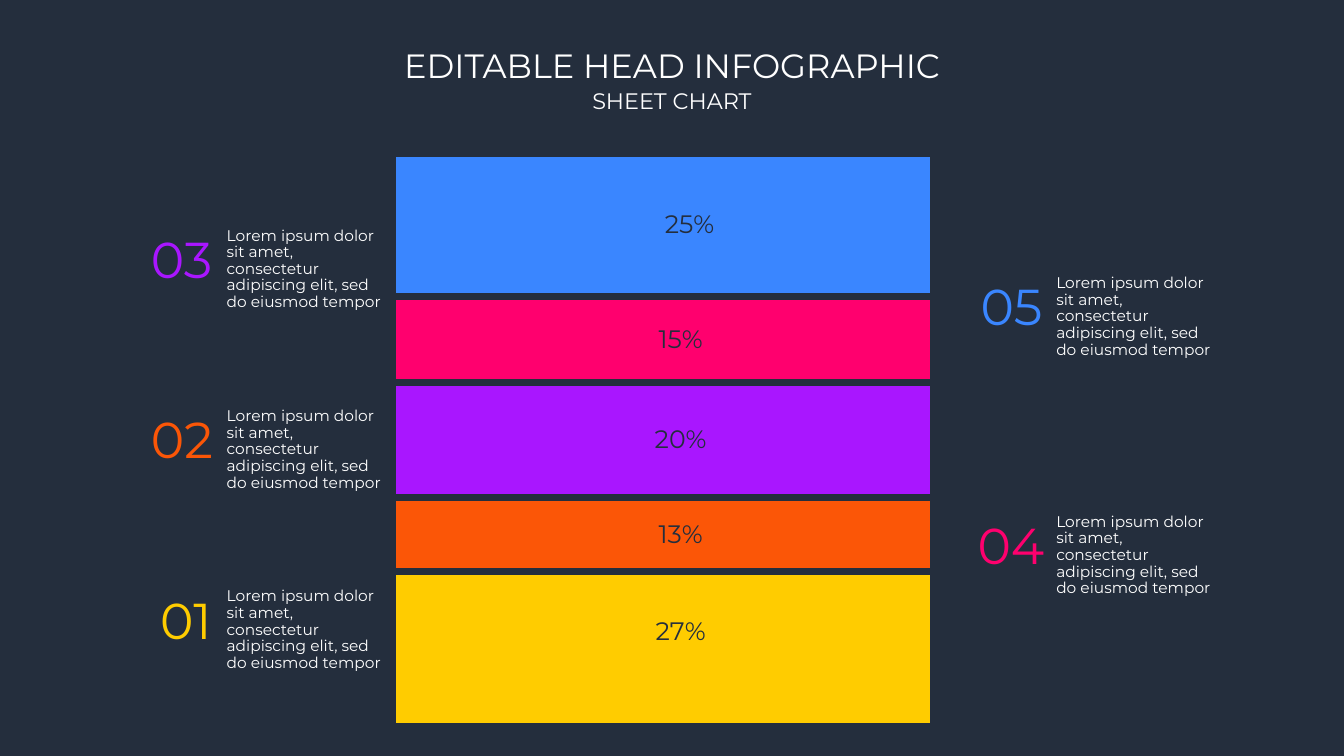
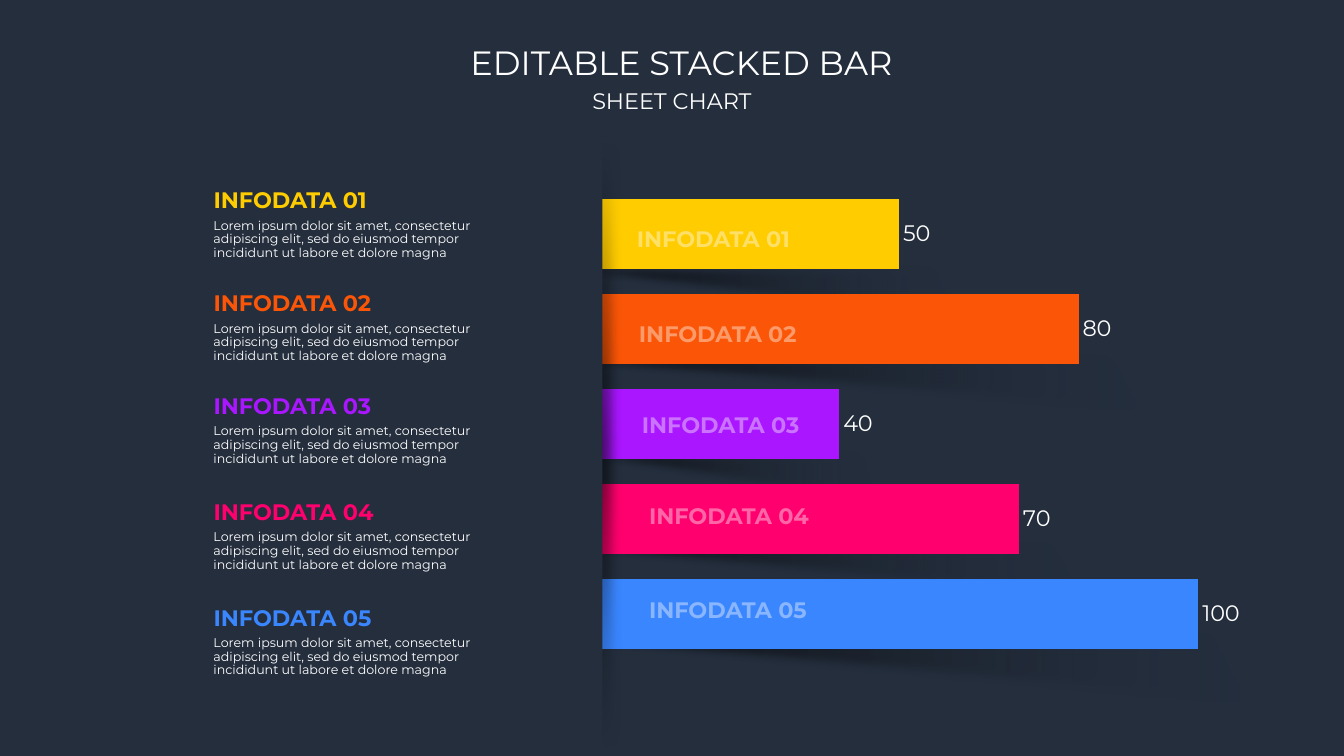
from lxml import etree
from pptx import Presentation
from pptx import util as u
from pptx.chart import data as cd
from pptx.dml import color as dc
from pptx.enum import chart as ch, shapes as sh, text as tx
from pptx.oxml import ns

Pt = u.Pt
DARK, WHITE = "242E3D", "FFFFFF"
HUES = ["FFCC00", "FB5607", "A916FF", "FF006E", "3A86FF"]
LOREM = ("Lorem ipsum dolor sit amet, consectetur "
         "adipiscing elit, sed do eiusmod tempor")


def rgb(code):
    return dc.RGBColor.from_string(code)


def tint(code, part=0.4):
    """Blend a colour towards white."""
    tones = [int(code[i:i + 2], 16) for i in (0, 2, 4)]
    return "".join(f"{round(t + (255 - t) * part):02X}" for t in tones)


def node(root, tag, **attrs):
    item = etree.SubElement(root, ns.qn(tag))
    for key, value in attrs.items():
        item.set(key, str(value))
    return item


def write(frame, words, size=16, hue=WHITE, bold=False, align="LEFT",
          wrap=True, inset=True, lines=None):
    frame.word_wrap = wrap
    if not inset:
        frame.margin_left = frame.margin_right = 0
        frame.margin_top = frame.margin_bottom = 0
    para = frame.paragraphs[0]
    para.alignment = getattr(tx.PP_ALIGN, align)
    para.line_spacing = lines
    run = para.add_run()
    run.text = words
    Deck.style(run.font, size, hue, bold)


class Deck:
    FACE = "Montserrat"

    def __init__(self):
        self.show = Presentation()
        self.show.slide_width, self.show.slide_height = Pt(960), Pt(540)
        self.slide = None

    @classmethod
    def style(cls, font, size, hue=WHITE, bold=False):
        font.name, font.size, font.bold = cls.FACE, Pt(size), bold
        font.color.rgb = rgb(hue)

    def page(self, title, mid, top):
        self.slide = self.show.slides.add_slide(self.show.slide_layouts[6])
        fill = self.slide.background.fill
        fill.solid()
        fill.fore_color.rgb = rgb(DARK)
        self.head = [(title, mid, top, 24), ("SHEET CHART", 480, 58.7, 16)]

    def heads(self):
        for words, mid, top, size in self.head:
            self.text(words, mid - 200, top, 400, size * 1.5,
                      size=size, align="CENTER", wrap=False)

    def text(self, words, left, top, width, height, **form):
        box = self.slide.shapes.add_textbox(
            Pt(left), Pt(top), Pt(width), Pt(height))
        write(box.text_frame, words, **form)

    def body(self, words, left, top, width, height, size):
        self.text(words, left, top, width, height, size=size, lines=0.9)

    # Plain finish: no outline and no shadow
    def bare(self, shape):
        shape.line.fill.background()
        shape.shadow.inherit = False
        return shape.element.spPr.find(ns.qn("a:effectLst"))

    def fade(self, shape, stops, angle):
        shape.fill.gradient()
        shape.fill.gradient_angle = angle
        grad = shape.element.spPr.find(ns.qn("a:gradFill"))
        root = grad.find(ns.qn("a:gsLst"))
        for old in list(root):
            root.remove(old)
        for place, hue, alpha in stops:
            stop = node(root, "a:gs", pos=place * 1000)
            tone = node(stop, "a:srgbClr", val=hue)
            node(tone, "a:alpha", val=alpha * 1000)

    # Soft wedge cast below a bar
    def wedge(self, tip, top, right, far, base):
        form = self.slide.shapes.build_freeform(Pt(right), Pt(top), scale=1.0)
        form.add_line_segments([(Pt(far), Pt(base)), (Pt(tip), Pt(top))])
        shape = form.convert_to_shape()
        self.fade(shape, [(26, "000000", 68), (100, DARK, 0)], 0)
        node(self.bare(shape), "a:softEdge", rad=Pt(6))

    # Wall that the bars come out of, with a shade to its right
    def wall(self):
        group = self.slide.shapes.add_group_shape()
        kind = sh.MSO_SHAPE.RECTANGLE
        back = group.shapes.add_shape(
            kind, Pt(406.8), Pt(103.7), Pt(22.3), Pt(429.1))
        self.fade(back, [(0, WHITE, 0), (50, WHITE, 100), (100, WHITE, 0)], 90)
        shade = node(self.bare(back), "a:outerShdw", blurRad=Pt(8),
                     dist=Pt(7), dir=0, algn="l", rotWithShape=0)
        node(node(shade, "a:srgbClr", val="000000"), "a:alpha", val=55000)
        front = group.shapes.add_shape(
            kind, Pt(406.1), Pt(92.2), Pt(24.2), Pt(445.7))
        front.fill.solid()
        front.fill.fore_color.rgb = rgb(DARK)
        self.bare(front)

    def chart(self, kind, frame, cats, rows, gap, peak, form):
        data = cd.CategoryChartData(number_format=form)
        data.categories = cats
        for i, row in enumerate(rows, 1):
            data.add_series(f"Series {i}", row)
        chart = self.slide.shapes.add_chart(
            kind, *map(Pt, frame), data).chart
        chart.has_legend = chart.has_title = False
        self.style(chart.font, 10)
        axis = chart.value_axis
        axis.minimum_scale, axis.maximum_scale = 0, peak
        axis.has_major_gridlines = False
        axis.visible = chart.category_axis.visible = False
        plot = chart.plots[0]
        plot.gap_width, plot.overlap = gap, 100
        plot.vary_by_categories = False
        for hue, line in zip(HUES, plot.series):
            line.invert_if_negative = False
            self.paint(line, hue)
        return plot

    def paint(self, part, hue):
        part.format.fill.solid()
        part.format.fill.fore_color.rgb = rgb(hue)

    def labels(self, line, size, hue, place, form):
        tags = line.data_labels
        tags.show_value = True
        tags.position = place
        tags.number_format, tags.number_format_is_linked = form, False
        self.style(tags.font, size, hue)

    # Move the label of the first point by a share of the chart
    def nudge(self, line, across, down, size, hue, form):
        tag = line.points[0].data_label
        self.style(tag.font, size, hue)
        tag.position = ch.XL_LABEL_POSITION.CENTER
        root = line.data_labels._element.find(ns.qn("c:dLbl"))
        lay = node(root, "c:layout")
        spot = node(lay, "c:manualLayout")
        node(spot, "c:x", val=across)
        node(spot, "c:y", val=down)
        mask = node(root, "c:numFmt", formatCode=form, sourceLinked=0)
        root.find(ns.qn("c:idx")).addnext(lay)
        lay.addnext(mask)


def stack(deck):
    deck.page("EDITABLE HEAD INFOGRAPHIC", 480, 28.8)

    # Stacked column
    shares = [0.27, 0.13, 0.2, 0.15, 0.25]
    plot = deck.chart(ch.XL_CHART_TYPE.COLUMN_STACKED_100,
                      (153.4, 100.8, 640, 427), ["1"],
                      [[share] for share in shares], 59, 1, "0%")
    shifts = [(0.02, -0.03), (0.02, 0), (0.02, 0), (0.02, 0), (0.03, 0)]
    for line, (across, down) in zip(plot.series, shifts):
        line.format.line.color.rgb = rgb(DARK)
        line.format.line.width = Pt(5)
        deck.labels(line, 18, DARK, ch.XL_LABEL_POSITION.CENTER, "0%")
        deck.nudge(line, across, down, 18, DARK, "0%")

    # Numbered notes on both sides: number left, width, text left, top
    notes = [(107.3, 57.6, 154.8, 416.9), (100.8, 61.9, 154.8, 288),
             (100.8, 61.9, 154.8, 159.1), (691.2, 69.8, 747.4, 363.6),
             (693.4, 61.9, 747.4, 193)]
    for i, (left, width, edge, top) in enumerate(notes):
        deck.body(LOREM, edge, top, 130.3, 63.4, 11)
        deck.text(f"0{i + 1}", left, top, width, 51, size=36, hue=HUES[i])
    deck.heads()


def bars(deck):
    deck.page("EDITABLE STACKED BAR", 486.7, 26.3)

    # Shades below the bars
    for wedge in [(280.8, 450.7, 869, 900.7, 506.2),
                  (295.9, 385.9, 756, 781.2, 430.6),
                  (355, 320.4, 618.5, 632.9, 365),
                  (280.8, 252, 796.3, 824.4, 297.4),
                  (329.8, 187.9, 671, 689.8, 232.6)]:
        deck.wedge(*wedge)

    # Bar chart, listed from the bottom up
    blank = [None] * 5
    plot = deck.chart(ch.XL_CHART_TYPE.BAR_CLUSTERED,
                      (418, 126, 534.2, 353.5), list("12345"),
                      [[100, 70, 40, 80, 50], blank, blank],
                      36, 120, "General")
    line = plot.series[0]
    for i, hue in enumerate(reversed(HUES)):
        deck.paint(line.points[i], hue)
    deck.labels(line, 16, WHITE, ch.XL_LABEL_POSITION.OUTSIDE_END, "General")
    deck.wall()

    # Names on the bars and notes: bar name left, top, note top
    rows = [(447.8, 157, 133.2), (449.3, 225.4, 206.6), (451.4, 290.2, 280.1),
            (456.5, 355, 355.7), (456.5, 422.6, 431.3)]
    for i, (left, top, note) in enumerate(rows):
        name, hue = f"INFODATA 0{i + 1}", HUES[i]
        deck.text(name, left, top, 131, 26.6, hue=tint(hue),
                  bold=True, wrap=False)
        deck.text(name, 152.6, note, 115, 19.4, hue=hue,
                  bold=True, wrap=False, inset=False)
        deck.body(LOREM + " incididunt ut labore et dolore magna",
                  145.4, note + 20, 205.2, 48.2, 9)
    deck.heads()


def main():
    deck = Deck()
    stack(deck)
    bars(deck)
    deck.show.save("out.pptx")


if __name__ == "__main__":
    main()
